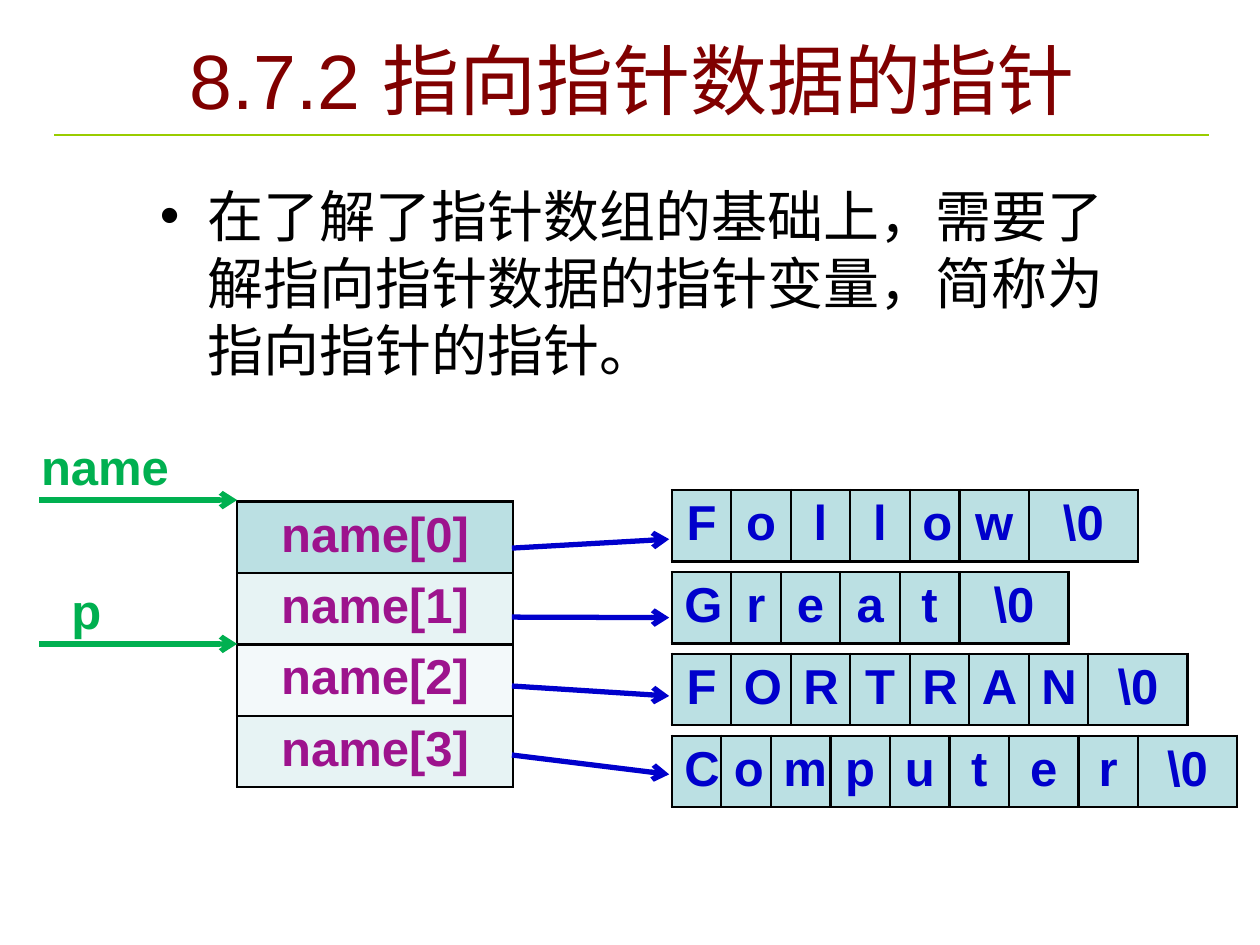
from lxml.etree import SubElement
from pptx import Presentation
from pptx.dml.color import RGBColor
from pptx.enum.shapes import MSO_CONNECTOR
from pptx.enum.text import MSO_ANCHOR, MSO_AUTO_SIZE, PP_ALIGN
from pptx.oxml.ns import qn
from pptx.util import Cm, Pt

BLACK = RGBColor(0x00, 0x00, 0x00)
MAROON = RGBColor(0x80, 0x00, 0x00)
LIME = RGBColor(0x99, 0xCC, 0x00)
BLUE = RGBColor(0x00, 0x00, 0xCC)
PURPLE = RGBColor(0x9D, 0x13, 0x8D)
GREEN = RGBColor(0x00, 0xB0, 0x50)
TEAL = RGBColor(0xBB, 0xE0, 0xE3)
PALE_TEAL = RGBColor(0xE7, 0xF3, 0xF4)
FAINT_TEAL = RGBColor(0xF3, 0xF9, 0xFA)

ROW_HEIGHT = 1.44
WORDS = [
    ("Follow", [1.2, 1.2, 1.2, 1.2, 1, 1.4, 2.2]),
    ("Great", [1.2, 1, 1.2, 1.2, 1.2, 2.2]),
    ("FORTRAN", [1.2] * 7 + [2]),
    ("Computer", [1, 1, 1.2, 1.2, 1.2, 1.2, 1.4, 1.2, 2]),
]


def write_text(text_frame, text, size, color, alignment=PP_ALIGN.LEFT, bold=False):
    """Write one formatted paragraph and return it."""
    paragraph = text_frame.paragraphs[0]
    paragraph.alignment = alignment
    paragraph.space_before = Pt(0)
    run = paragraph.add_run()
    run.text = text
    run.font.color.rgb = color
    formats = {"name": "Arial", "size": Pt(size), "bold": bold}
    for attribute, value in formats.items():
        setattr(run.font, attribute, value)
    return paragraph


def add_line(slide, start, end, color, width, arrow=False):
    """Draw a straight line, with an open arrowhead if asked."""
    connector = slide.shapes.add_connector(
        MSO_CONNECTOR.STRAIGHT, *(Cm(length) for length in (*start, *end))
    )
    connector.line.color.rgb = color
    connector.line.width = Pt(width)
    properties = connector._element.spPr
    if arrow:
        SubElement(properties.find(qn("a:ln")), qn("a:tailEnd"), type="arrow")
    SubElement(properties, qn("a:effectLst"))


def place(shape, left, top, width, height):
    """Move a placeholder to a box and fix its text size."""
    box = {"left": left, "top": top, "width": width, "height": height}
    for attribute, value in box.items():
        setattr(shape, attribute, Cm(value))
    shape.text_frame.auto_size = MSO_AUTO_SIZE.NONE


def fill_title(slide, left, top, width, height):
    """Fill the title and rule it off below."""
    title = slide.shapes.title
    place(title, left, top, width, height)
    title.text_frame.vertical_anchor = MSO_ANCHOR.MIDDLE
    write_text(title.text_frame, "8.7.2 指向指针数据的指针", 44, MAROON, PP_ALIGN.CENTER)
    rule_top = top + height + 0.06
    add_line(slide, (1.09, rule_top), (24.38, rule_top), LIME, 1.5)


def fill_body(slide, left, top, width, height):
    """Fill the body with its bulleted paragraph."""
    body = slide.placeholders[1]
    place(body, left, top, width, height)
    paragraph = write_text(
        body.text_frame,
        "在了解了指针数组的基础上，需要了解指向指针数据的指针变量，简称为指向指针的指针。",
        32,
        BLACK,
    )
    properties = paragraph._p.get_or_add_pPr()
    properties.set("marL", str(Cm(0.95)))
    properties.set("indent", str(-Cm(0.95)))
    bullet_color = SubElement(properties, qn("a:buClr"))
    SubElement(bullet_color, qn("a:srgbClr"), val=str(BLACK))
    SubElement(properties, qn("a:buFont"), typeface="Arial")
    SubElement(properties, qn("a:buChar"), char="•")


def format_cell(cell, text, text_color, fill_color):
    """Give a cell black borders, a fill and centred text."""
    properties = cell._tc.get_or_add_tcPr()
    for side in ("lnL", "lnR", "lnT", "lnB"):
        border = SubElement(properties, qn(f"a:{side}"), w=str(Pt(1.47)))
        fill = SubElement(border, qn("a:solidFill"))
        SubElement(fill, qn("a:srgbClr"), val=str(BLACK))
    cell.fill.solid()
    cell.fill.fore_color.rgb = fill_color
    write_text(cell.text_frame, text, 28, text_color, PP_ALIGN.CENTER, bold=True)


def add_grid(slide, left, top, rows, widths, text_color, fills):
    """Add a table of equal rows, with one fill for each row."""
    table = slide.shapes.add_table(
        len(rows), len(widths), Cm(left), Cm(top),
        Cm(sum(widths)), Cm(ROW_HEIGHT * len(rows)),
    ).table
    table.first_row = table.horz_banding = False
    for column, width in zip(table.columns, widths):
        column.width = Cm(width)
    for row, texts, fill_color in zip(table.rows, rows, fills):
        row.height = Cm(ROW_HEIGHT)
        for cell, text in zip(row.cells, texts):
            format_cell(cell, text, text_color, fill_color)


def add_strings(slide, left, top, pitch):
    """Add one row of character cells for each word."""
    for index, (word, widths) in enumerate(WORDS):
        characters = [*word, "\\0"]
        add_grid(slide, left, top + index * pitch, [characters], widths, BLUE, [TEAL])


def add_pointer_array(slide, left, top, width, target_left):
    """Add the pointer array and its arrows to the strings."""
    rows = [[f"name[{index}]"] for index in range(len(WORDS))]
    fills = [TEAL, PALE_TEAL, FAINT_TEAL, PALE_TEAL]
    add_grid(slide, left, top, rows, [width], PURPLE, fills)
    for index in range(len(WORDS)):
        start = (left + width - 0.02, top + 0.94 + index * 1.39)
        end = (target_left, top + 0.76 + index * 1.58)
        add_line(slide, start, end, BLUE, 3, arrow=True)


def add_pointer(slide, text, left, top, width, label_offset):
    """Add a labelled arrow that points at the array."""
    label = slide.shapes.add_textbox(
        Cm(left + label_offset), Cm(top - 1.4), Cm(width - 0.4), Cm(1.45)
    )
    label.text_frame.word_wrap = True
    write_text(label.text_frame, text, 28, GREEN, bold=True)
    add_line(slide, (left, top), (left + width, top), GREEN, 3, arrow=True)


def main():
    """Build and save the slide."""
    presentation = Presentation()
    presentation.slide_width = Cm(25.4)
    presentation.slide_height = Cm(19.05)
    slide = presentation.slides.add_slide(presentation.slide_layouts[1])
    fill_title(slide, 3, 0.53, 19.5, 2.13)
    fill_body(slide, 2.97, 3.53, 20.24, 5.36)
    add_strings(slide, 13.54, 9.88, 1.65)
    add_pointer_array(slide, 4.78, 10.11, 5.56, 13.49)
    add_pointer(slide, "name", 0.79, 10.08, 3.99, -0.21)
    add_pointer(slide, "p", 0.79, 12.98, 3.99, 0.4)
    presentation.save("out.pptx")


if __name__ == "__main__":
    main()
